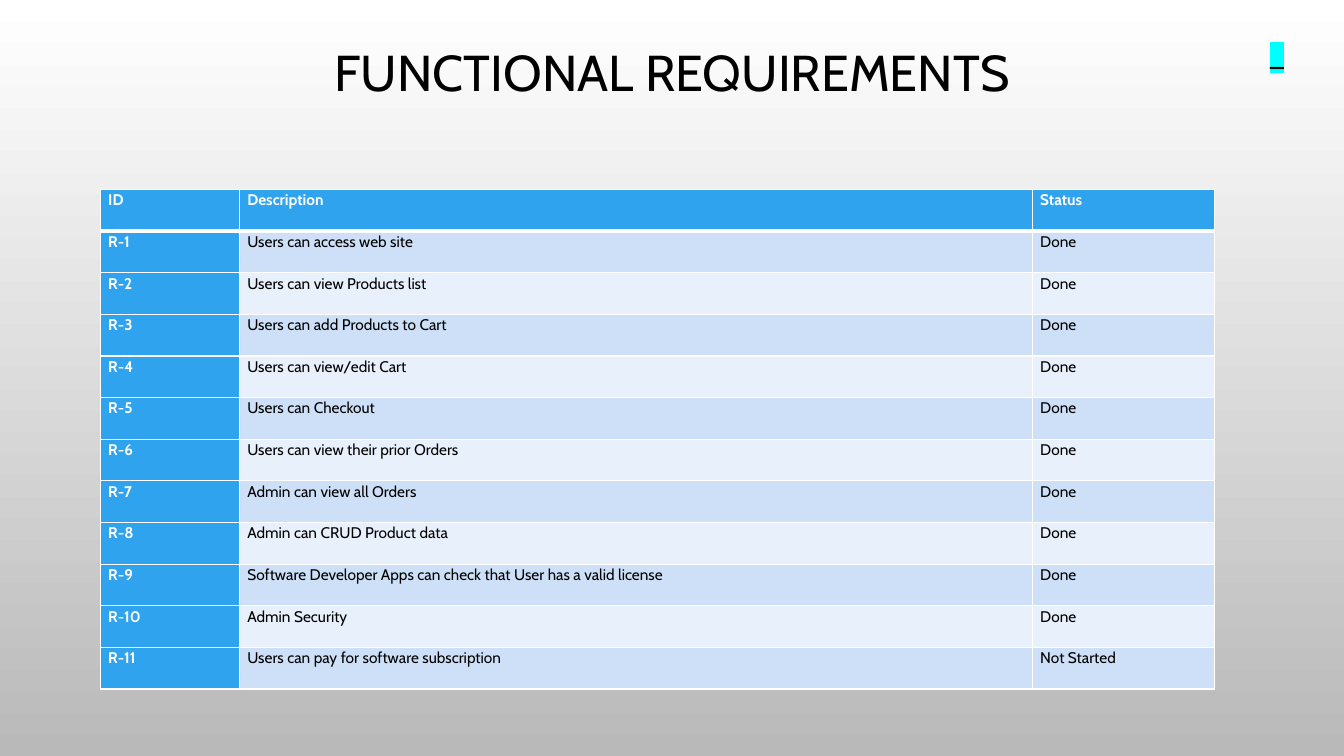
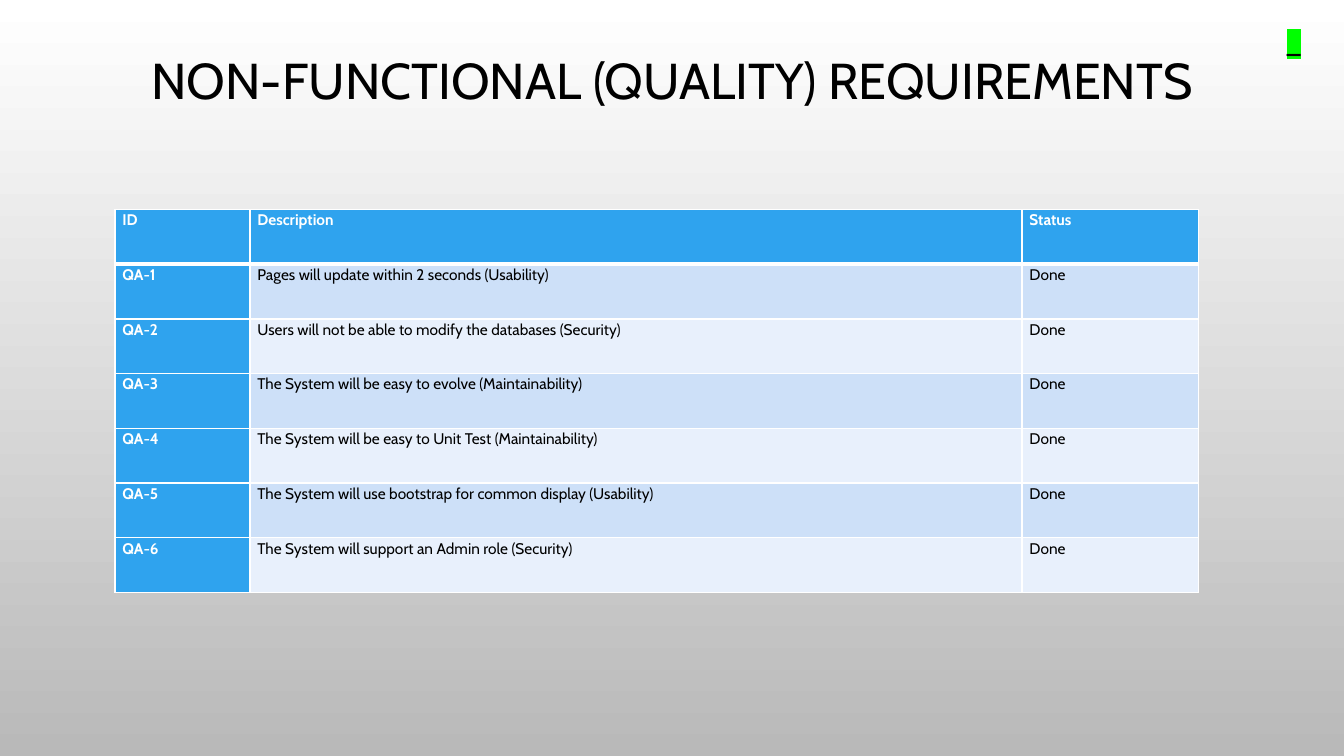
from dataclasses import dataclass

from lxml import etree
from pptx import Presentation
from pptx import util as u
from pptx.dml.color import RGBColor
from pptx.enum import text
from pptx.oxml.ns import qn

PX = 6096  # EMU per px: the slide is 2000 x 1125 px


# Theme shared by both slides
@dataclass(frozen=True)
class Theme:
    font: str = "Cabin"
    ink: str = "000000"
    white: str = "FFFFFF"
    shade: str = "B9B9B9"
    accent: str = "2FA3EE"
    bands: tuple = ("CDE0F8", "E8F0FC")
    title_size: int = 36
    marker_size: int = 18
    cell_size: int = 11
    rule: int = 1
    header_rule: int = 3


THEME = Theme()
HEADER = ("ID", "Description", "Status")

FUNCTIONAL = [
    ("Users can access web site", "Done"),
    ("Users can view Products list", "Done"),
    ("Users can add Products to Cart", "Done"),
    ("Users can view/edit Cart", "Done"),
    ("Users can Checkout", "Done"),
    ("Users can view their prior Orders", "Done"),
    ("Admin can view all Orders", "Done"),
    ("Admin can CRUD Product data", "Done"),
    ("Software Developer Apps can check that User has a valid license", "Done"),
    ("Admin Security", "Done"),
    ("Users can pay for software subscription", "Not Started"),
]

QUALITY = [
    ("Pages will update within 2 seconds (Usability)", "Done"),
    ("Users will not be able to modify the databases (Security)", "Done"),
    ("The System will be easy to evolve (Maintainability)", "Done"),
    ("The System will be easy to Unit Test (Maintainability)", "Done"),
    ("The System will use bootstrap for common display (Usability)", "Done"),
    ("The System will support an Admin role (Security)", "Done"),
]


# Helpers
def px(*lengths):
    return [u.Emu(n * PX) for n in lengths]


def set_all(target, values):
    for name, value in values.items():
        setattr(target, name, value)


def write(tf, words, size, color=THEME.ink, bold=False, **para):
    p = tf.paragraphs[0]
    set_all(p, para)
    r = p.add_run()
    r.text = words
    r.font.color.rgb = RGBColor.from_string(color)
    set_all(r.font, {"name": THEME.font, "size": u.Pt(size), "bold": bold})
    return r


def add_color(parent, tag, color):
    holder = etree.SubElement(parent, qn(tag))
    etree.SubElement(holder, qn("a:srgbClr"), val=color)
    return holder


def set_borders(cell, top, bottom):
    """Line elements come before the fill in the cell properties."""
    tc_pr = cell._tc.get_or_add_tcPr()
    widths = {"L": THEME.rule, "R": THEME.rule, "T": top, "B": bottom}
    for i, (side, width) in enumerate(widths.items()):
        ln = etree.Element(qn(f"a:ln{side}"), w=str(u.Pt(width)))
        add_color(ln, "a:solidFill", THEME.white)
        tc_pr.insert(i, ln)


# Slide elements
def style_background(prs):
    fill = prs.slide_master.background.fill
    fill.gradient()
    fill.gradient_angle = 270
    for stop, color in zip(fill.gradient_stops, (THEME.white, THEME.shade)):
        stop.color.rgb = RGBColor.from_string(color)


def add_title(s, words, top):
    tf = s.shapes.add_textbox(*px(150, top, 1700, 163)).text_frame
    set_all(tf, {"word_wrap": True, "vertical_anchor": text.MSO_ANCHOR.MIDDLE})
    write(tf, words, THEME.title_size, alignment=text.PP_ALIGN.CENTER,
          line_spacing=0.9)


def add_marker(s, left, top, highlight):
    tf = s.shapes.add_textbox(*px(left, top, 50, 106)).text_frame
    set_all(tf, {"word_wrap": False,
                 "auto_size": text.MSO_AUTO_SIZE.SHAPE_TO_FIT_TEXT})
    r_pr = write(tf, "_", THEME.marker_size).font._element
    r_pr.find(qn("a:solidFill")).addnext(
        add_color(r_pr, "a:highlight", highlight))


def style_cell(cell, words, row, col):
    accented = row == 0 or col == 0
    fill = THEME.accent if accented else THEME.bands[(row - 1) % 2]
    side, none = px(11, 0)
    set_all(cell, {"margin_left": side, "margin_right": side,
                   "margin_top": none, "margin_bottom": none})
    cell.fill.solid()
    cell.fill.fore_color.rgb = RGBColor.from_string(fill)
    write(cell.text_frame, words, THEME.cell_size,
          THEME.white if accented else THEME.ink, accented,
          line_spacing=1.07, space_after=u.Pt(8))
    set_borders(cell,
                top=THEME.header_rule if row == 1 else THEME.rule,
                bottom=THEME.header_rule if row == 0 else THEME.rule)


def add_requirements(s, prefix, items, left, top, height, widths):
    rows = [HEADER] + [(f"{prefix}-{n}", *item)
                       for n, item in enumerate(items, 1)]
    frame = s.shapes.add_table(len(rows), len(HEADER),
                               *px(left, top, sum(widths), height))
    table = frame.table
    set_all(table, {"first_row": False, "horz_banding": False})
    for column, width in zip(table.columns, px(*widths)):
        column.width = width
    for i, row in enumerate(rows):
        for j, words in enumerate(row):
            style_cell(table.cell(i, j), words, i, j)


def main():
    prs = Presentation()
    prs.slide_width, prs.slide_height = px(2000, 1125)
    style_background(prs)
    blank = prs.slide_layouts[6]

    # Functional requirements
    s = prs.slides.add_slide(blank)
    add_title(s, "FUNCTIONAL REQUIREMENTS", 30)
    add_requirements(s, "R", FUNCTIONAL, 150, 282, 744, (207, 1180, 270))
    add_marker(s, 1875, 54, "00FFFF")

    # Quality requirements
    s = prs.slides.add_slide(blank)
    add_title(s, "NON-FUNCTIONAL (QUALITY) REQUIREMENTS", 43)
    add_requirements(s, "QA", QUALITY, 171, 312, 570, (201, 1149, 263))
    add_marker(s, 1900, 34, "00FF00")

    prs.save("out.pptx")


if __name__ == "__main__":
    main()
